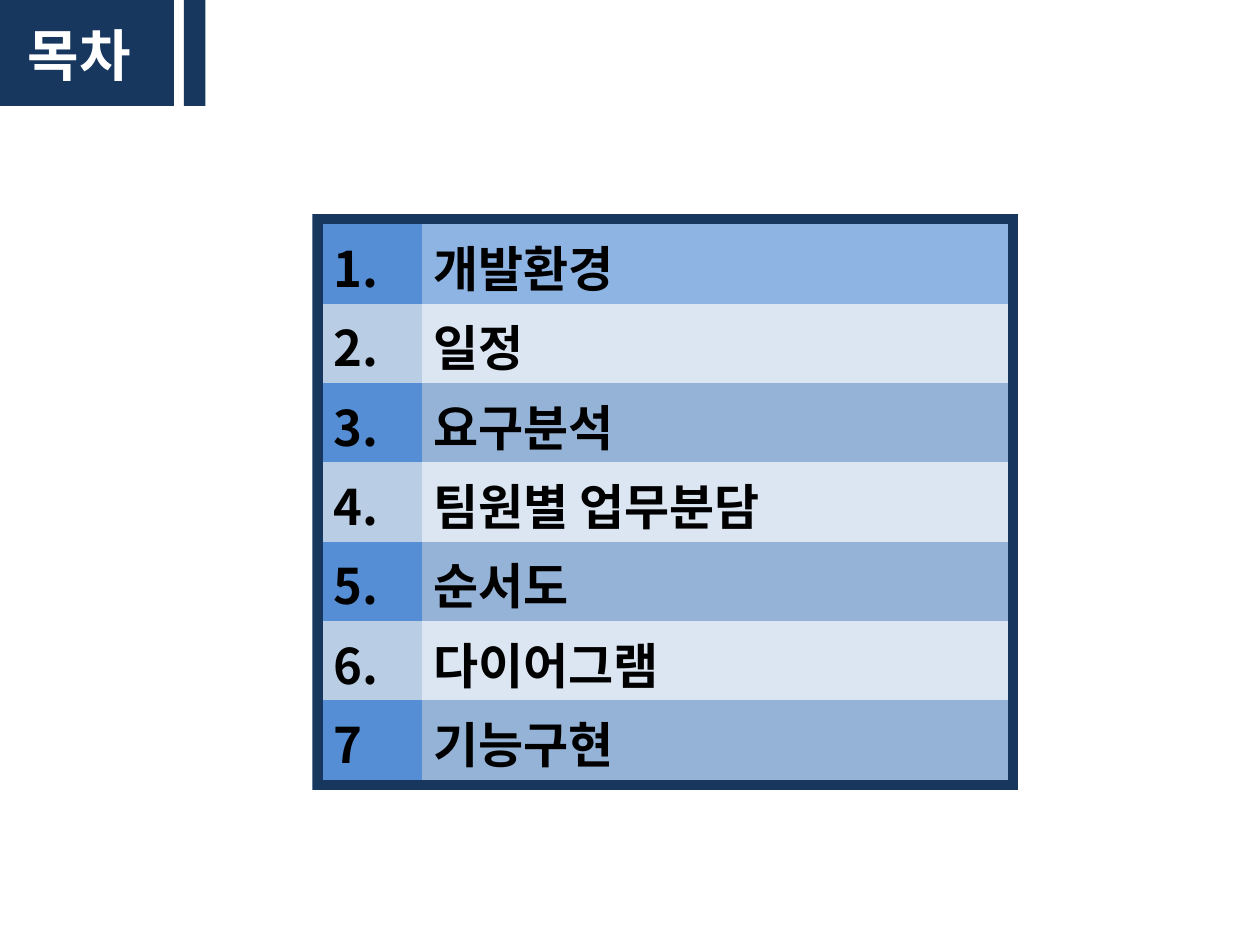
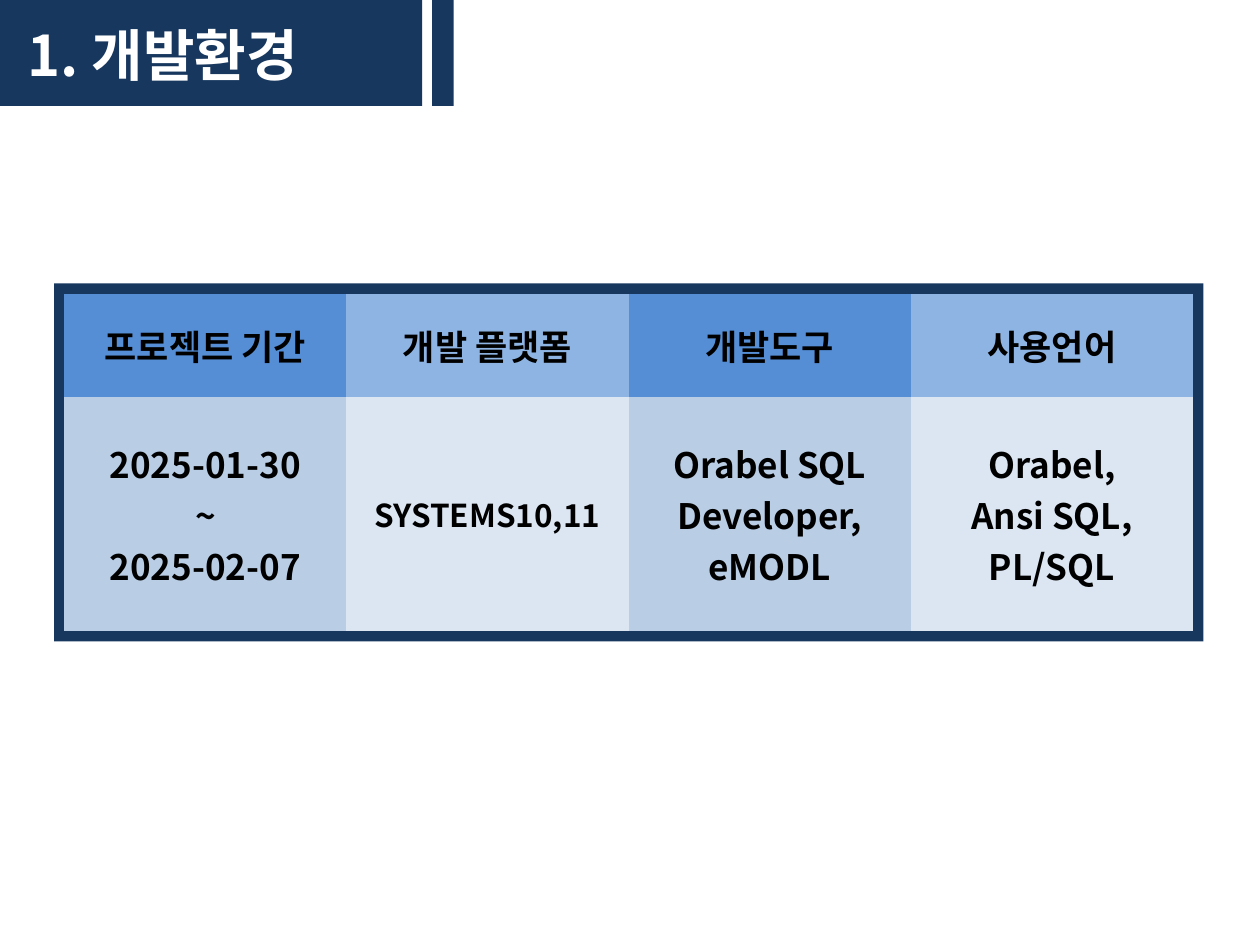
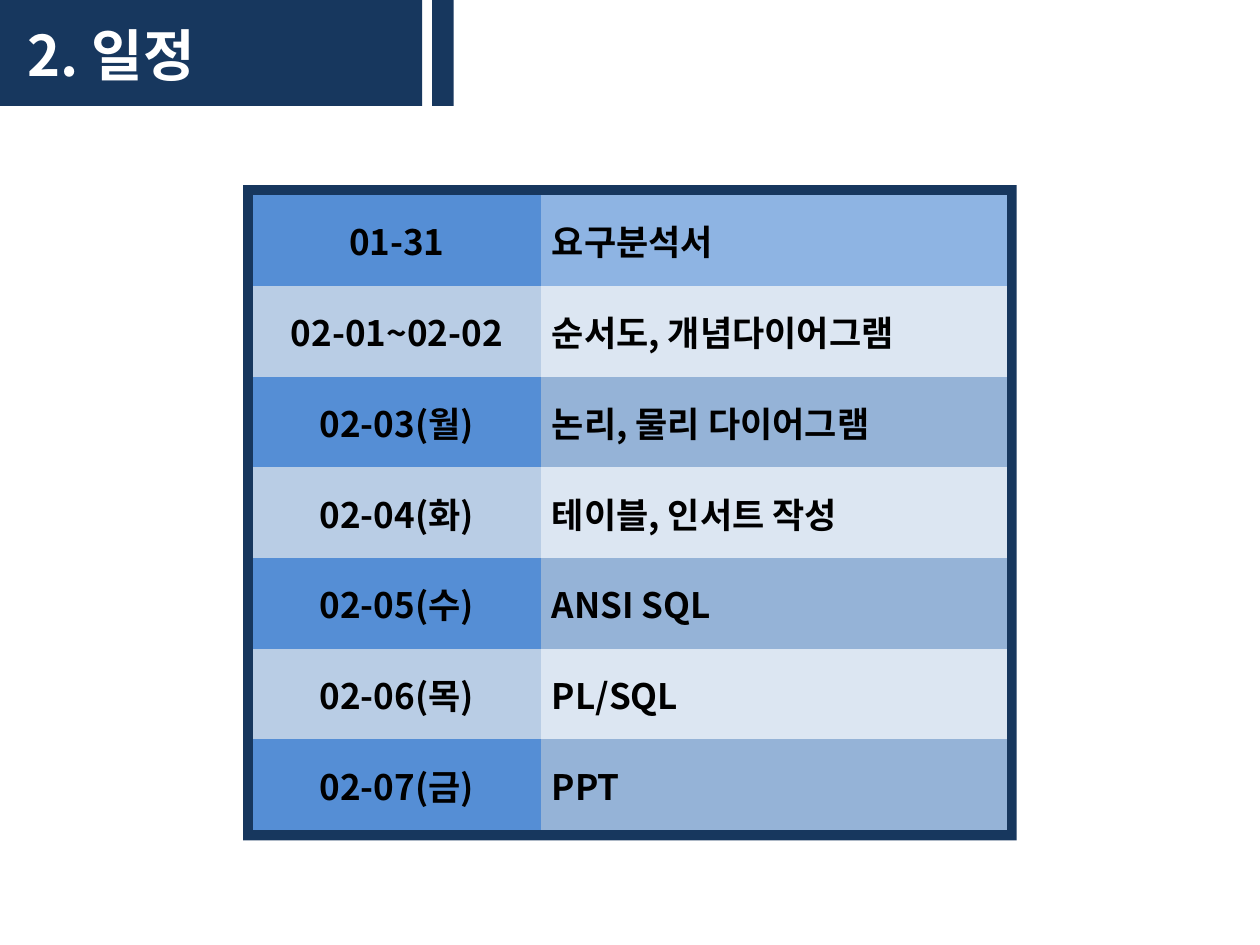
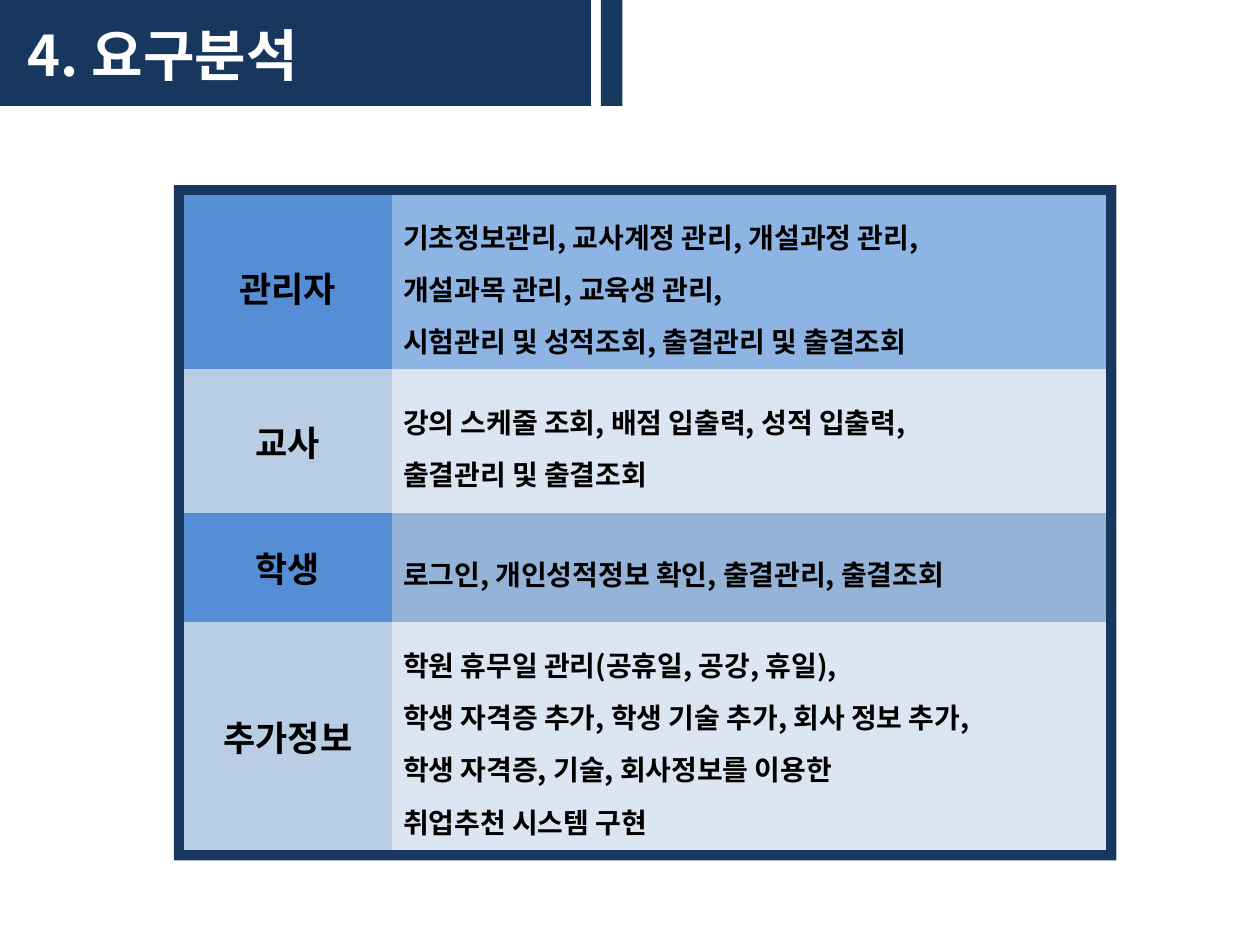
from dataclasses import dataclass

from lxml.etree import SubElement
from pptx import Presentation
from pptx.dml.color import RGBColor
from pptx.enum.shapes import MSO_SHAPE
from pptx.enum.text import MSO_ANCHOR, MSO_AUTO_SIZE, PP_ALIGN
from pptx.oxml.ns import qn
from pptx.shapes.autoshape import Shape
from pptx.slide import Slide
from pptx.text.text import TextFrame
from pptx.util import Emu, Pt

PX = 9144
SLIDE_WIDTH, SLIDE_HEIGHT = 1000, 750
BAND_HEIGHT = 84
STRIPE_GAP, STRIPE_WIDTH = 8, 17
FRAME_MARGIN = 8
FONT = "Noto Sans CJK KR"
PLAIN_TABLE_STYLE = "{2D5ABB26-0587-4C30-8999-92F81FD0307C}"

NAVY = RGBColor(0x17, 0x37, 0x5E)
WHITE = RGBColor(0xFF, 0xFF, 0xFF)
BLACK = RGBColor(0x00, 0x00, 0x00)
STRONG_BLUE = RGBColor(0x55, 0x8E, 0xD5)
HEADER_BLUE = RGBColor(0x8E, 0xB4, 0xE3)
SOFT_BLUE = RGBColor(0x95, 0xB3, 0xD7)
PALE_BLUE = RGBColor(0xB9, 0xCD, 0xE5)
PALEST_BLUE = RGBColor(0xDC, 0xE6, 0xF2)


@dataclass(frozen=True)
class Column:
    width: int
    size: int = 20
    centered: bool = False
    spacing: float | None = None


@dataclass(frozen=True)
class Cell:
    text: str
    size: int | None = None
    spacing: float | None = None


@dataclass(frozen=True)
class Page:
    title: str
    band_width: int
    left: int
    top: int
    columns: list[Column]
    row_heights: list[int]
    rows: list[tuple[str | Cell, ...]]


PAGES = [
    Page(
        "목차", 138, 256, 178,
        [Column(79, 28), Column(465, 28)],
        [63] * 7,
        [
            ("1.", "개발환경"),
            ("2.", "일정"),
            ("3.", "요구분석"),
            ("4.", "팀원별 업무분담"),
            ("5.", "순서도"),
            ("6.", "다이어그램"),
            ("7", "기능구현"),
        ],
    ),
    Page(
        "1. 개발환경", 335, 51, 233,
        [Column(224, centered=True)] * 4,
        [82, 186],
        [
            ("프로젝트 기간", "개발 플랫폼", "개발도구", "사용언어"),
            (
                "2025-01-30\n~\n2025-02-07",
                Cell("SYSTEMS10,11", size=18),
                "Orabel SQL Developer,\neMODL",
                "Orabel,\nAnsi SQL,\vPL/SQL",
            ),
        ],
    ),
    Page(
        "2. 일정", 335, 201, 155,
        [Column(228, centered=True), Column(370)],
        [72] * 7,
        [
            ("01-31", "요구분석서"),
            ("02-01~02-02", "순서도, 개념다이어그램"),
            ("02-03(월)", "논리, 물리 다이어그램"),
            ("02-04(화)", "테이블, 인서트 작성"),
            ("02-05(수)", "ANSI SQL"),
            ("02-06(목)", "PL/SQL"),
            ("02-07(금)", "PPT"),
        ],
    ),
    Page(
        "4. 요구분석", 469, 146, 155,
        [Column(165, centered=True), Column(567, 16, spacing=1.3)],
        [138, 114, 87, 181],
        [
            (
                Cell("관리자", spacing=1.2),
                "기초정보관리, 교사계정 관리, 개설과정 관리,\n"
                "개설과목 관리, 교육생 관리,\n"
                "시험관리 및 성적조회, 출결관리 및 출결조회",
            ),
            ("교사", "강의 스케줄 조회, 배점 입출력, 성적 입출력,\n출결관리 및 출결조회"),
            ("학생", "로그인, 개인성적정보 확인, 출결관리, 출결조회"),
            (
                "추가정보",
                "학원 휴무일 관리(공휴일, 공강, 휴일),\n"
                "학생 자격증 추가, 학생 기술 추가, 회사 정보 추가,\n"
                "학생 자격증, 기술, 회사정보를 이용한\n"
                "취업추천 시스템 구현",
            ),
        ],
    ),
]


def px(*lengths: int) -> list[Emu]:
    return [Emu(length * PX) for length in lengths]


def write_text(
    text_frame: TextFrame,
    text: str,
    *,
    size: int,
    color: RGBColor = BLACK,
    centered: bool = False,
    spacing: float | None = None,
) -> None:
    text_frame.text = text
    for paragraph in text_frame.paragraphs:
        paragraph.alignment = PP_ALIGN.CENTER if centered else PP_ALIGN.LEFT
        if spacing:
            paragraph.line_spacing = spacing
        for run in paragraph.runs:
            run.font.name = FONT
            run.font.size = Pt(size)
            run.font.bold = True
            run.font.color.rgb = color
            east_asian = SubElement(run.font._element, qn("a:ea"))
            east_asian.set("typeface", FONT)


def add_block(slide: Slide, left: int, top: int, width: int, height: int) -> Shape:
    block = slide.shapes.add_shape(MSO_SHAPE.RECTANGLE, *px(left, top, width, height))
    block.shadow.inherit = False
    block.fill.solid()
    block.fill.fore_color.rgb = NAVY
    block.line.fill.background()
    return block


def add_header(slide: Slide, page: Page) -> None:
    band = add_block(slide, 0, 0, page.band_width, BAND_HEIGHT)
    add_block(slide, page.band_width + STRIPE_GAP, 0, STRIPE_WIDTH, BAND_HEIGHT)
    title = slide.shapes.title
    title.left, title.top, title.width, title.height = px(12, 11, 403, 64)
    text_frame = title.text_frame
    text_frame.word_wrap = True
    text_frame.auto_size = MSO_AUTO_SIZE.SHAPE_TO_FIT_TEXT
    text_frame.vertical_anchor = MSO_ANCHOR.TOP
    write_text(text_frame, page.title, size=32, color=WHITE)
    band.element.addnext(title.element)


def cell_fill(row: int, column: int) -> RGBColor:
    first_column = column % 2 == 0
    if row % 2:
        return PALE_BLUE if first_column else PALEST_BLUE
    if first_column:
        return STRONG_BLUE
    return SOFT_BLUE if row else HEADER_BLUE


def add_framed_table(slide: Slide, page: Page) -> None:
    width = sum(column.width for column in page.columns)
    height = sum(page.row_heights)
    add_block(
        slide,
        page.left - FRAME_MARGIN,
        page.top - FRAME_MARGIN,
        width + 2 * FRAME_MARGIN,
        height + 2 * FRAME_MARGIN,
    )
    graphic_frame = slide.shapes.add_table(
        len(page.rows), len(page.columns), *px(page.left, page.top, width, height)
    )
    graphic_frame.element.xpath(".//a:tableStyleId")[0].text = PLAIN_TABLE_STYLE
    table = graphic_frame.table
    table.first_row = table.horz_banding = False
    for table_column, column in zip(table.columns, page.columns):
        table_column.width = Emu(column.width * PX)
    for table_row, row_height in zip(table.rows, page.row_heights):
        table_row.height = Emu(row_height * PX)
    for row_index, row in enumerate(page.rows):
        for column_index, (column, entry) in enumerate(zip(page.columns, row)):
            content = entry if isinstance(entry, Cell) else Cell(entry)
            cell = table.cell(row_index, column_index)
            cell.fill.solid()
            cell.fill.fore_color.rgb = cell_fill(row_index, column_index)
            cell.vertical_anchor = MSO_ANCHOR.MIDDLE
            cell.margin_left, cell.margin_right = px(9, 9)
            cell.margin_top, cell.margin_bottom = px(5, 5)
            write_text(
                cell.text_frame,
                content.text,
                size=content.size or column.size,
                centered=column.centered,
                spacing=content.spacing or column.spacing,
            )


def main() -> None:
    presentation = Presentation()
    presentation.slide_width, presentation.slide_height = px(SLIDE_WIDTH, SLIDE_HEIGHT)
    title_only = presentation.slide_layouts[5]
    for page in PAGES:
        slide = presentation.slides.add_slide(title_only)
        add_header(slide, page)
        add_framed_table(slide, page)
    presentation.save("out.pptx")


if __name__ == "__main__":
    main()
